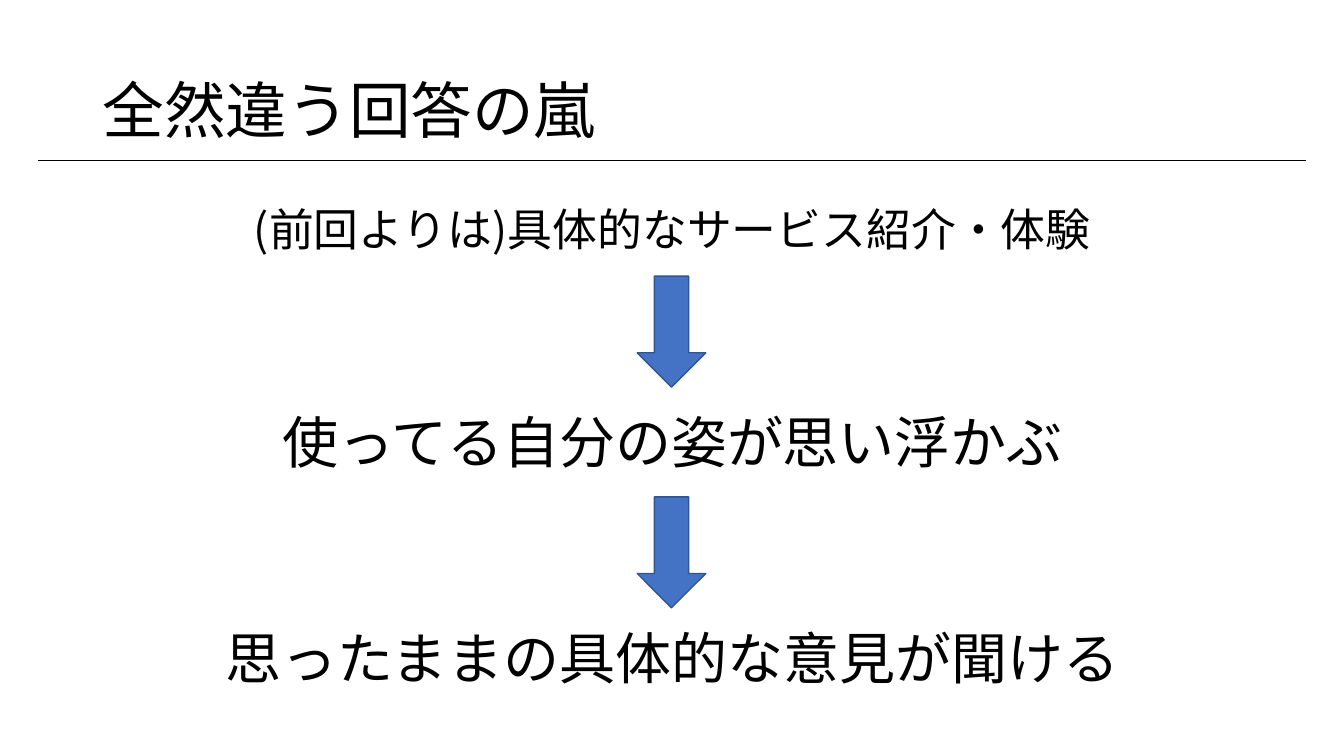
"""Build a slide with a title, a rule and three statements linked by down arrows."""
from lxml.etree import SubElement
from pptx import Presentation
from pptx.dml.color import RGBColor
from pptx.enum.shapes import MSO_CONNECTOR, MSO_SHAPE
from pptx.enum.text import MSO_ANCHOR, PP_ALIGN
from pptx.oxml.ns import qn
from pptx.util import Inches, Pt

COLORS = {"text": "000000", "arrow": "4472C4", "arrow_edge": "325491"}
FONT = "Noto Sans CJK JP"
LEFT, WIDTH = 0.92, 11.5
ARROW_WIDTH, ARROW_HEIGHT = 0.68, 1.1


def add_text(page, text, top, height, size, anchor, formats):
    """Add a full-width line of text with the given paragraph formats."""
    box = page.shapes.add_textbox(Inches(LEFT), Inches(top), Inches(WIDTH), Inches(height))
    box.text_frame.word_wrap = True
    box.text_frame.vertical_anchor = anchor
    para = box.text_frame.paragraphs[0]
    for name, value in formats.items():
        setattr(para, name, value)
    span = para.add_run()
    span.text = text
    for name, value in {"name": FONT, "size": Pt(size)}.items():
        setattr(span.font, name, value)
    span.font.color.rgb = RGBColor.from_string(COLORS["text"])
    SubElement(span.font._element, qn("a:ea"), typeface=FONT)


deck = Presentation()
deck.slide_width, deck.slide_height = Inches(13.33), Inches(7.5)
page = deck.slides.add_slide(deck.slide_layouts[6])

add_text(page, "全然違う回答の嵐", 0.4, 1.45, 44, MSO_ANCHOR.MIDDLE, {"line_spacing": 0.9})

rule = page.shapes.add_connector(
    MSO_CONNECTOR.STRAIGHT, Inches(0.38), Inches(1.59), Inches(12.95), Inches(1.59)
)
rule.line.color.rgb = RGBColor.from_string(COLORS["text"])
rule.line.width = Pt(0.5)
SubElement(rule._element.spPr, qn("a:effectLst"))

centered = {"alignment": PP_ALIGN.CENTER}
lead = {**centered, "line_spacing": 0.9, "space_before": Pt(10)}
statements = [
    ("(前回よりは)具体的なサービス紹介・体験", 2.01, 0.62, 32, lead),
    ("使ってる自分の姿が思い浮かぶ", 3.99, 0.77, 40, centered),
    ("思ったままの具体的な意見が聞ける", 6.14, 0.77, 40, centered),
]
for text, top, height, size, formats in statements:
    add_text(page, text, top, height, size, MSO_ANCHOR.TOP, formats)

for top in (2.74, 4.93):
    arrow = page.shapes.add_shape(
        MSO_SHAPE.DOWN_ARROW,
        Inches(6.32), Inches(top), Inches(ARROW_WIDTH), Inches(ARROW_HEIGHT),
    )
    arrow.shadow.inherit = False
    arrow.fill.solid()
    arrow.fill.fore_color.rgb = RGBColor.from_string(COLORS["arrow"])
    arrow.line.color.rgb = RGBColor.from_string(COLORS["arrow_edge"])
    arrow.line.width = Pt(1)

deck.save("out.pptx")
